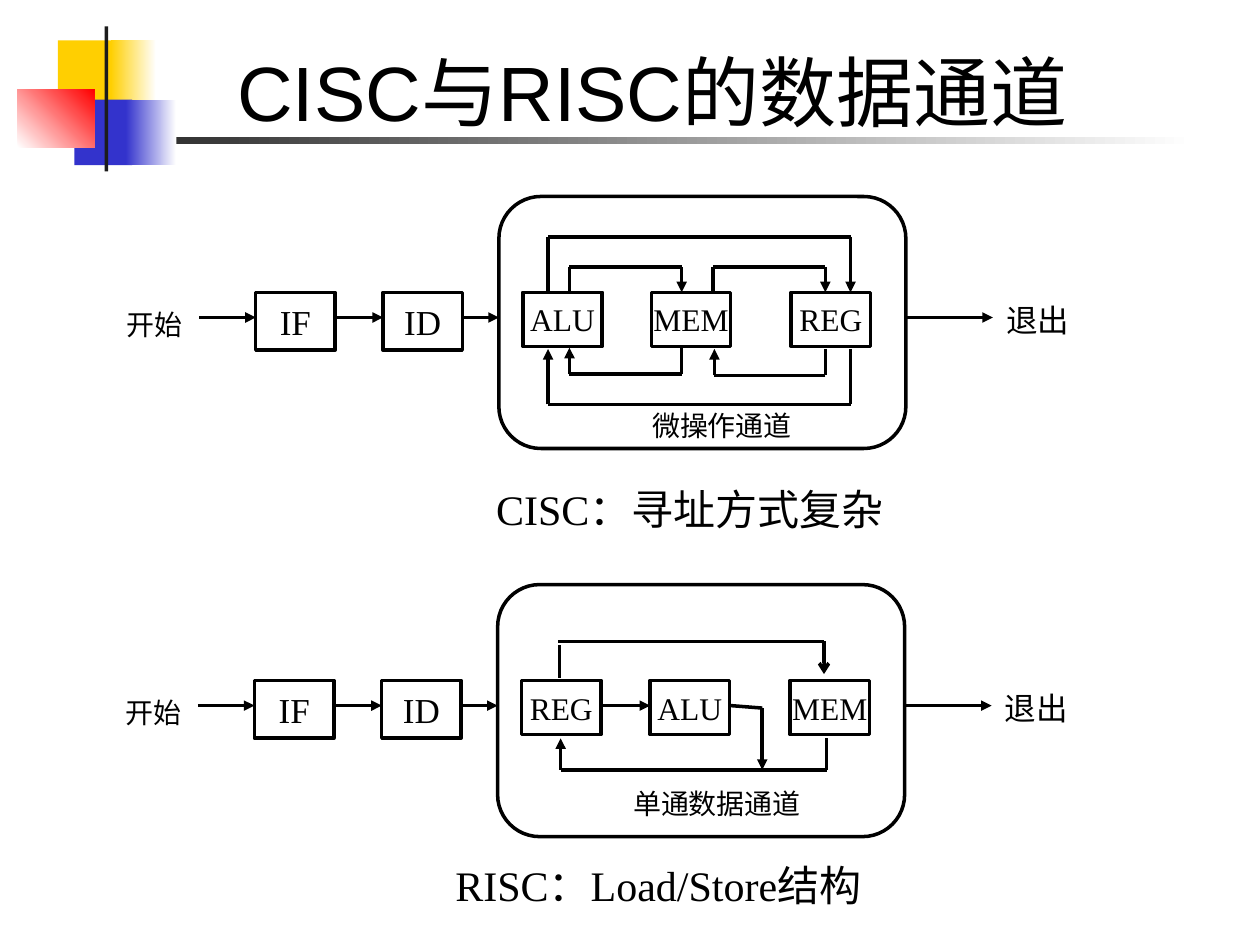
from dataclasses import dataclass

import pptx
import pptx.dml.color
import pptx.enum.shapes
import pptx.enum.text
import pptx.oxml.ns
import pptx.util
from lxml import etree

In, Pt = pptx.util.Inches, pptx.util.Pt
SHAPE = pptx.enum.shapes.MSO_SHAPE
STRAIGHT = pptx.enum.shapes.MSO_CONNECTOR.STRAIGHT
MIDDLE = pptx.enum.text.MSO_ANCHOR.MIDDLE
CENTER = pptx.enum.text.PP_ALIGN.CENTER
qn = pptx.oxml.ns.qn

INK, BAR, WHITE = "000000", "1C1C1C", "FFFFFF"
YELLOW, BLUE, RED = "FFCF01", "3333CC", "FF0000"
SERIF, SANS = "Times New Roman", "Arial"


@dataclass
class Box:
    """A region on the slide, divided into cols by rows equal cells."""
    x: float
    y: float
    w: float
    h: float
    cols: int = 100
    rows: int = 100

    def point(self, col, row):
        return self.x + self.w * col / self.cols, self.y + self.h * row / self.rows

    def sub(self, col, row, wide, high):
        return Box(*self.point(col, row), self.w * wide / self.cols,
                   self.h * high / self.rows, wide, high)

    def emu(self):
        return [In(v) for v in (self.x, self.y, self.w, self.h)]


def color(value):
    return pptx.dml.color.RGBColor.from_string(value)


def write(sp, text, size, font=SERIF, inset=0.1, wrap=True):
    tf = sp.text_frame
    tf.word_wrap = wrap
    tf.vertical_anchor = MIDDLE
    tf.margin_left = tf.margin_right = In(inset)
    p = tf.paragraphs[0]
    p.alignment = CENTER
    r = p.add_run()
    r.text = text
    r.font.size, r.font.name = Pt(size), font
    r.font.color.rgb = color(INK)


def add_label(s, box, text, size, font=SERIF):
    write(s.shapes.add_textbox(*box.emu()), text, size, font)


def add_outline(s, box, kind=SHAPE.RECTANGLE):
    sp = s.shapes.add_shape(kind, *box.emu())
    sp.shadow.inherit = False
    sp.fill.background()
    sp.line.color.rgb = color(INK)
    sp.line.width = Pt(2)
    return sp


def add_block(s, box, start, end=None, angle=0):
    """A borderless rectangle, solid or fading from start to end."""
    sp = s.shapes.add_shape(SHAPE.RECTANGLE, *box.emu())
    sp.shadow.inherit = False
    sp.line.fill.background()
    if end is None:
        sp.fill.solid()
        sp.fill.fore_color.rgb = color(start)
        return
    sp.fill.gradient()
    sp.fill.gradient_angle = angle
    for stop, value in zip(sp.fill.gradient_stops, (start, end)):
        stop.color.rgb = color(value)


def add_wire(s, box, points, head="triangle"):
    """Straight segments through the points, with a head on the last one."""
    ends = [box.point(*pt) for pt in points]
    for a, b in zip(ends, ends[1:]):
        line = s.shapes.add_connector(STRAIGHT, *[In(v) for v in (*a, *b)])
        line.line.color.rgb = color(INK)
        line.line.width = Pt(2)
        etree.SubElement(line._element.spPr, qn("a:effectLst"))
    if head:
        etree.SubElement(line.line._get_or_add_ln(), qn("a:tailEnd"), type=head)


def add_header(s, box):
    add_block(s, box.sub(48, 109, 900, 5), BAR, WHITE)
    add_block(s, box.sub(46, 32, 48, 52), YELLOW)
    add_block(s, box.sub(88, 32, 36, 52), YELLOW, WHITE)
    add_block(s, box.sub(59, 79, 46, 52), BLUE)
    add_block(s, box.sub(100, 79, 40, 52), BLUE, WHITE)
    add_block(s, box.sub(14, 71, 61, 46), WHITE, RED, 45)
    add_block(s, box.sub(83, 21, 3, 115), BAR)
    add_label(s, box.sub(111, 25, 814, 94), "CISC与RISC的数据通道", 44, SANS)


def add_pipeline(s, box, units, wires, note, note_at, caption, caption_at):
    add_label(s, box.sub(0, 83, 71, 37), "开始", 16)
    for col, stage in ((116, "IF"), (217, "ID")):
        write(add_outline(s, box.sub(col, 76, 63, 46)), stage, 20)
    for col, unit in zip((328, 430, 541), units):
        sp = add_outline(s, box.sub(col, 76, 63, 43))
        write(sp, unit, 18, inset=0, wrap=False)
    frame = box.sub(309, 0, 323, 200)
    add_outline(s, frame, SHAPE.FLOWCHART_ALTERNATE_PROCESS)
    add_label(s, box.sub(701, 78, 71, 40), "退出", 18)
    for start, end in ((71, 116), (179, 217), (280, 309), (632, 701)):
        add_wire(s, box, [(start, 96), (end, 96)])
    for points, head in wires:
        add_wire(s, frame, points, head)
    add_label(s, box.sub(*note_at, 292, 37), note, 16)
    add_label(s, box.sub(*caption_at, 473, 49), caption, 24)


def loop(start, end, row, turn, head="triangle"):
    """A wire that leaves at row, runs along turn and comes back to row."""
    return [(start, row), (start, turn), (end, turn), (end, row)], head


CISC_WIRES = [
    loop(56, 145, 76, 56), loop(170, 259, 76, 56), loop(39, 279, 76, 32),
    loop(145, 56, 120, 141), loop(259, 171, 121, 142), loop(279, 39, 121, 165),
]
RISC_WIRES = [
    ([(82, 96), (121, 96)], "triangle"),
    ([(185, 96), (210, 98), (210, 147)], "triangle"),
    loop(261, 50, 122, 147),
    ([(49, 74), (49, 48)], None),
    ([(48, 45), (259, 45), (259, 71)], "arrow"),
]


def main():
    prs = pptx.Presentation()
    prs.slide_width, prs.slide_height = In(10), In(7.5)
    s = prs.slides.add_slide(prs.slide_layouts[6])
    add_header(s, Box(0, 0, 10, 1.5, 1000, 150))
    add_pipeline(s, Box(0.87, 1.56, 7.72, 2, 772, 200), ("ALU", "MEM", "REG"),
                 CISC_WIRES, "微操作通道", (340, 163),
                 "CISC：寻址方式复杂", (224, 223))
    add_pipeline(s, Box(0.86, 4.64, 7.72, 2, 772, 200), ("REG", "ALU", "MEM"),
                 RISC_WIRES, "单通数据通道", (337, 155),
                 "RISC：Load/Store结构", (200, 214))
    prs.save("out.pptx")


if __name__ == "__main__":
    main()
